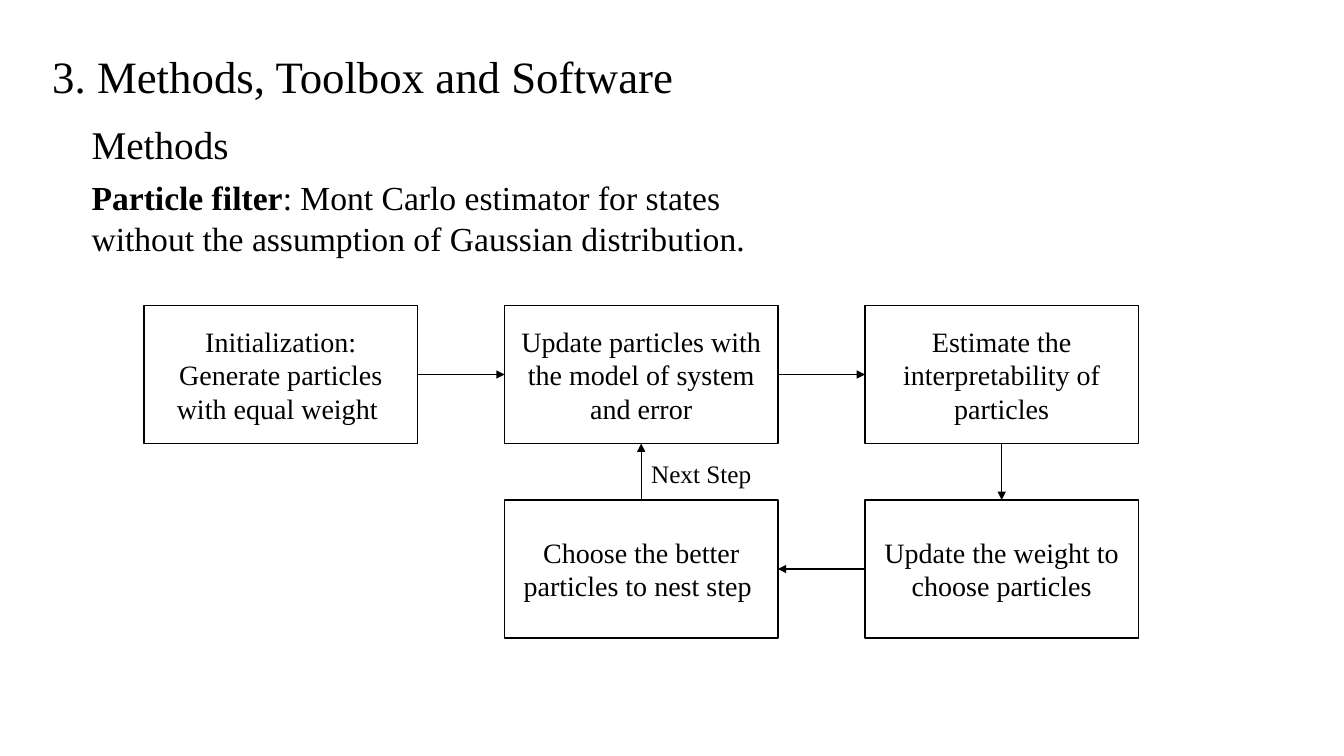
from dataclasses import dataclass

from lxml.etree import SubElement
from pptx import Presentation
from pptx.dml.color import RGBColor
from pptx.enum.shapes import MSO_CONNECTOR, MSO_SHAPE
from pptx.enum.text import MSO_ANCHOR, PP_ALIGN
from pptx.oxml.ns import qn
from pptx.util import Inches, Pt


@dataclass(frozen=True)
class Theme:
    font: str = "Times New Roman"
    ink: RGBColor = RGBColor(0, 0, 0)
    title: int = 32
    heading: int = 28
    body: int = 24
    step: int = 20
    label: int = 18
    line: float = 1
    thin_line: float = 0.5


THEME = Theme()
COLUMN_LEFT, COLUMN_PITCH = 1.43, 3.575
ROW_TOP, ROW_PITCH = 3.03, 1.93
STEP_WIDTH, STEP_HEIGHT = 2.71, 1.37
TOP, LEFT, BOTTOM, RIGHT = range(4)

# name: (column, row, text)
STEPS = {
    "initialize": (0, 0, "Initialization: Generate particles with equal weight "),
    "predict": (1, 0, "Update particles with the model of system and error"),
    "estimate": (2, 0, "Estimate the interpretability of particles"),
    "weigh": (2, 1, "Update the weight to choose particles"),
    "choose": (1, 1, "Choose the better particles to nest step "),
}

ARROWS = [
    ("initialize", RIGHT, "predict", LEFT, THEME.line),
    ("predict", RIGHT, "estimate", LEFT, THEME.thin_line),
    ("estimate", BOTTOM, "weigh", TOP, THEME.line),
    ("weigh", LEFT, "choose", RIGHT, THEME.line),
    ("choose", TOP, "predict", BOTTOM, THEME.line),
]


def style_paragraph(para, size):
    para.font.name = THEME.font
    para.font.size = Pt(size)
    para.font.color.rgb = THEME.ink


def add_text(page, left, top, width, height, text, size, bold_lead=""):
    """Add a wrapping text box, with an optional bold opening."""
    box = page.shapes.add_textbox(
        Inches(left), Inches(top), Inches(width), Inches(height))
    box.text_frame.word_wrap = True
    para = box.text_frame.paragraphs[0]
    if bold_lead:
        span = para.add_run()
        span.text = bold_lead
        span.font.bold = True
    para.add_run().text = text
    style_paragraph(para, size)


def add_step(page, column, row, text):
    box = page.shapes.add_shape(
        MSO_SHAPE.RECTANGLE,
        Inches(COLUMN_LEFT + column * COLUMN_PITCH),
        Inches(ROW_TOP + row * ROW_PITCH),
        Inches(STEP_WIDTH), Inches(STEP_HEIGHT))
    box.shadow.inherit = False
    box.fill.background()
    box.line.color.rgb = THEME.ink
    box.line.width = Pt(THEME.line)
    box.text_frame.word_wrap = True
    box.text_frame.vertical_anchor = MSO_ANCHOR.MIDDLE
    para = box.text_frame.paragraphs[0]
    para.text = text
    para.alignment = PP_ALIGN.CENTER
    style_paragraph(para, THEME.step)
    return box


def add_arrow(page, source, source_side, target, target_side, width):
    arrow = page.shapes.add_connector(MSO_CONNECTOR.STRAIGHT, 0, 0, 0, 0)
    arrow.begin_connect(source, source_side)
    arrow.end_connect(target, target_side)
    arrow.line.color.rgb = THEME.ink
    arrow.line.width = Pt(width)
    SubElement(arrow.line._get_or_add_ln(), qn("a:tailEnd"), type="triangle")
    SubElement(arrow._element.spPr, qn("a:effectLst"))


def main():
    deck = Presentation()
    deck.slide_width, deck.slide_height = Inches(13.33), Inches(7.5)
    page = deck.slides.add_slide(deck.slide_layouts[6])

    add_text(page, 0.42, 0.43, 8.43, 0.64,
             "3. Methods, Toolbox and Software", THEME.title)
    add_text(page, 0.81, 1.14, 1.95, 0.57, "Methods", THEME.heading)
    add_text(page, 0.81, 1.71, 6.9, 1.31,
             ": Mont Carlo estimator for states without the assumption of "
             "Gaussian distribution.", THEME.body, bold_lead="Particle filter")

    boxes = {name: add_step(page, *step) for name, step in STEPS.items()}
    for source, source_side, target, target_side, width in ARROWS:
        add_arrow(page, boxes[source], source_side,
                  boxes[target], target_side, width)
    add_text(page, 6.36, 4.5, 6.25, 0.4, "Next Step", THEME.label)

    deck.save("out.pptx")


if __name__ == "__main__":
    main()
